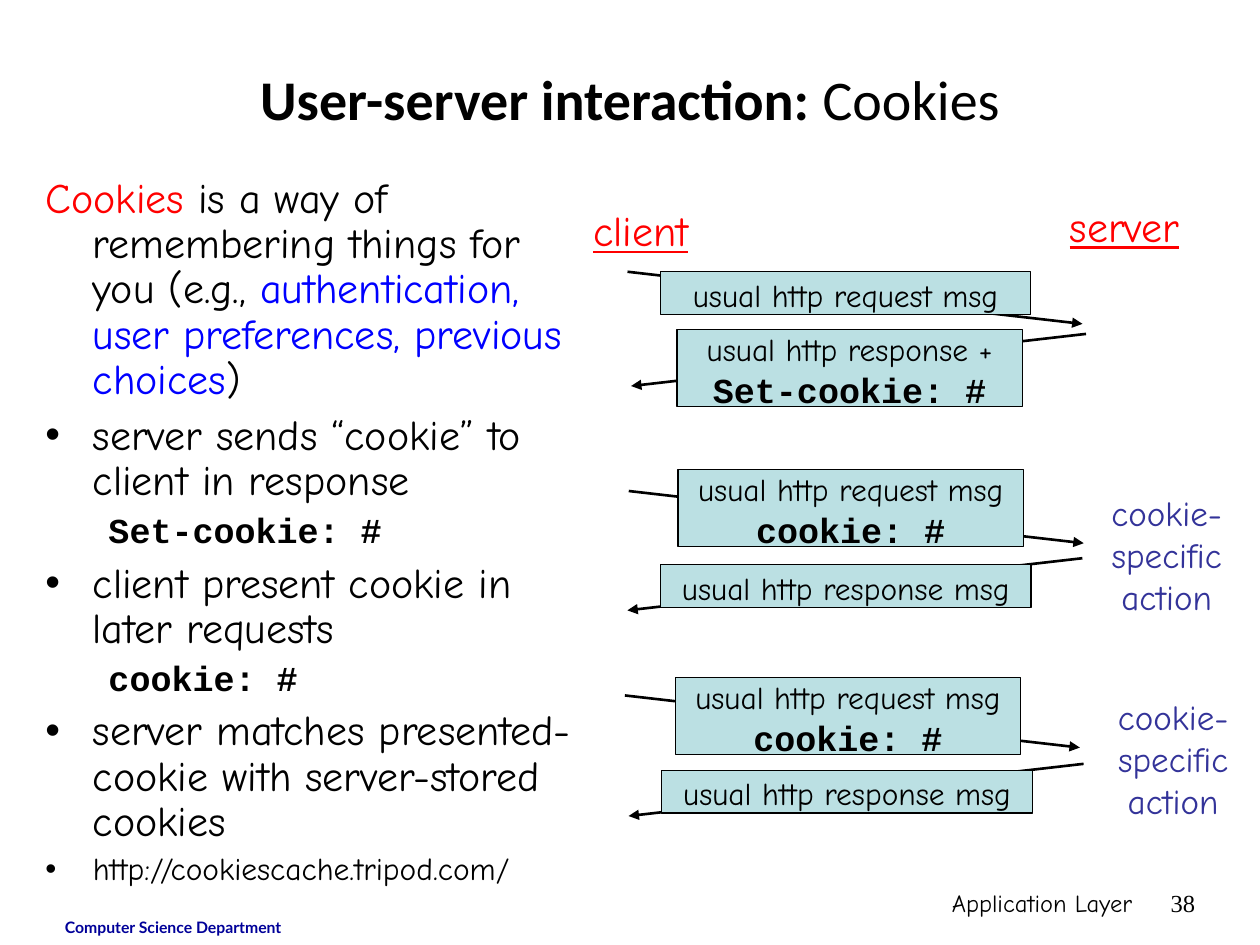
from lxml.etree import SubElement
from pptx import Presentation
from pptx.dml.color import RGBColor
from pptx.enum.shapes import MSO_CONNECTOR, MSO_SHAPE
from pptx.enum.text import MSO_ANCHOR, PP_ALIGN
from pptx.oxml.ns import qn
from pptx.util import Pt

BLACK, RED, BLUE, INDIGO, NAVY = "000000", "FF0000", "0000FF", "333399", "000099"
HAND, MONO = "Comic Neue", "Courier New"
LEFT, CENTER, RIGHT = PP_ALIGN.LEFT, PP_ALIGN.CENTER, PP_ALIGN.RIGHT

TITLE = [("User-server interaction: ", True), ("Cookies", False)]
INTRO = [("Cookies", RED), (" is a way of remembering things for you (e.g., ", BLACK),
         ("authentication, user preferences, previous choices", BLUE), (")", BLACK)]
BODY = [
    ("intro", INTRO),
    ("bullet", [("server sends “cookie” to client in response", BLACK)]),
    ("code", [("Set-cookie: #", BLACK)]),
    ("bullet", [("client present cookie in later requests", BLACK)]),
    ("code", [("cookie: #", BLACK)]),
    ("bullet", [("server matches presented-cookie with server-stored cookies", BLACK)]),
    ("link", [("http://cookiescache.tripod.com/", BLACK)]),
]
BODY_STYLES = {
    "intro": dict(size=24, font=HAND, bold=False, margin=27, indent=-27, before=0),
    "bullet": dict(size=24, font=HAND, bold=False, margin=27, indent=-27, before=6),
    "code": dict(size=20, font=MONO, bold=True, margin=58.5, indent=-22.5, before=5),
    "link": dict(size=18, font=HAND, bold=False, margin=27, indent=-27, before=4.5),
}
REQUEST, RESPONSE = "usual http request msg", "usual http response msg"
MESSAGES = [
    ([REQUEST], (377.3, 155.3), (358.6, 155.3), 1),
    (["usual http response +", "Set-cookie: #"], (386.9, 188.4), (620.6, 190.8), -1),
    ([REQUEST, "cookie: #"], (387.5, 268.4), (359.3, 280.6), 1),
    ([RESPONSE], (377.5, 322.6), (618.5, 319), -1),
    ([REQUEST, "cookie: #"], (385.9, 387.2), (357.1, 397.4), 1),
    ([RESPONSE], (378.2, 440.2), (619.2, 436.5), -1),
]
ARROW_RUN, ARROW_DROP, LABEL_W = 260, 29.8, 215
BOX_SIZES = {1: (211.7, 24.5), 2: (197.3, 43.9)}
LABEL_SIZES = {1: (1.2, 29), 2: (3.1, 53)}
ACTION = ["cookie-", "specific", "action"]
NOTES = [
    (["client"], (326.2, 113.3, 80, 36), 24, RED, True),
    (["server"], (602.6, 110.9, 80, 36), 24, RED, True),
    (ACTION, (624.7, 277.2, 84, 79.2), 20, INDIGO, False),
    (ACTION, (628.4, 393.8, 84, 79.2), 20, INDIGO, False),
]
FOOTERS = [
    ("Computer Science Department", (30, 520.8, 167.8, 19.2), 9, "Lato", NAVY, True, LEFT),
    ("Application Layer", (425.9, 504, 228.2, 36), 14, HAND, BLACK, False, RIGHT),
    ("38", (654, 504, 36, 36), 14, "Times New Roman", BLACK, False, RIGHT),
]


def rgb(value):
    return RGBColor.from_string(value)


def style(font, size, name, color, bold=False, underline=False):
    font.size, font.name, font.bold = Pt(size), name, bold
    font.color.rgb = rgb(color)
    if underline:
        font.underline = True


def add_box(s, left, top, width, height, wrap=True):
    tf = s.shapes.add_textbox(Pt(left), Pt(top), Pt(width), Pt(height)).text_frame
    tf.word_wrap = wrap
    return tf


def add_lines(tf, lines, align):
    """Write one paragraph per line and return the runs."""
    tf.text = "\n".join(lines)
    for p in tf.paragraphs:
        p.alignment = align
    return [p.runs[0] for p in tf.paragraphs]


def add_title(s):
    title = s.shapes.title
    title.left, title.top, title.width, title.height = Pt(36), Pt(21.6), Pt(648), Pt(68.4)
    tf = title.text_frame
    tf.vertical_anchor = MSO_ANCHOR.MIDDLE
    p = tf.paragraphs[0]
    p.alignment = CENTER
    for text, bold in TITLE:
        r = p.add_run()
        r.text = text
        style(r.font, 32, "Calibri", BLACK, bold)


def add_body(s):
    tf = add_box(s, 18.9, 97.6, 316.1, 414.7)
    for i, (kind, runs) in enumerate(BODY):
        look = BODY_STYLES[kind]
        p = tf.add_paragraph() if i else tf.paragraphs[0]
        p.line_spacing, p.space_before = 0.9, Pt(look["before"])
        pPr = p._p.get_or_add_pPr()
        pPr.set("marL", str(Pt(look["margin"])))
        pPr.set("indent", str(Pt(look["indent"])))
        if kind in ("bullet", "link"):
            SubElement(SubElement(pPr, qn("a:buClr")), qn("a:srgbClr")).set("val", BLACK)
            SubElement(pPr, qn("a:buFont")).set("typeface", "Arial")
            SubElement(pPr, qn("a:buChar")).set("char", "•")
        for text, color in runs:
            r = p.add_run()
            r.text = text
            style(r.font, look["size"], look["font"], color, look["bold"])


def add_arrow(s, x, y, direction):
    line = s.shapes.add_connector(MSO_CONNECTOR.STRAIGHT, Pt(x), Pt(y),
                                  Pt(x + direction * ARROW_RUN), Pt(y + ARROW_DROP))
    line.line.color.rgb, line.line.width = rgb(BLACK), Pt(1.5)
    SubElement(line.line._get_or_add_ln(), qn("a:tailEnd")).set("type", "triangle")
    SubElement(line._element.spPr, qn("a:effectLst"))


def add_message(s, lines, corner, start, direction):
    add_arrow(s, *start, direction)
    left, top = corner
    width, height = BOX_SIZES[len(lines)]
    sp = s.shapes.add_shape(MSO_SHAPE.RECTANGLE, Pt(left), Pt(top), Pt(width), Pt(height))
    sp.shadow.inherit = False
    sp.fill.solid()
    sp.fill.fore_color.rgb = rgb("BBE0E3")
    sp.line.color.rgb, sp.line.width = rgb(BLACK), Pt(0.75)
    rise, label_h = LABEL_SIZES[len(lines)]
    tf = add_box(s, left + (width - LABEL_W) / 2, top - rise, LABEL_W, label_h)
    plain, *header = add_lines(tf, lines, CENTER)
    style(plain.font, 18, HAND, BLACK)
    for r in header:
        style(r.font, 20, MONO, BLACK, True)


def main():
    prs = Presentation()
    prs.slide_width, prs.slide_height = Pt(720), Pt(540)
    s = prs.slides.add_slide(prs.slide_layouts[5])
    add_title(s)
    add_body(s)
    for message in MESSAGES:
        add_message(s, *message)
    for lines, place, size, color, underline in NOTES:
        for r in add_lines(add_box(s, *place, wrap=False), lines, CENTER):
            style(r.font, size, HAND, color, underline=underline)
    for text, place, size, name, color, bold, align in FOOTERS:
        for r in add_lines(add_box(s, *place), [text], align):
            style(r.font, size, name, color, bold)
    prs.save("out.pptx")


if __name__ == "__main__":
    main()
